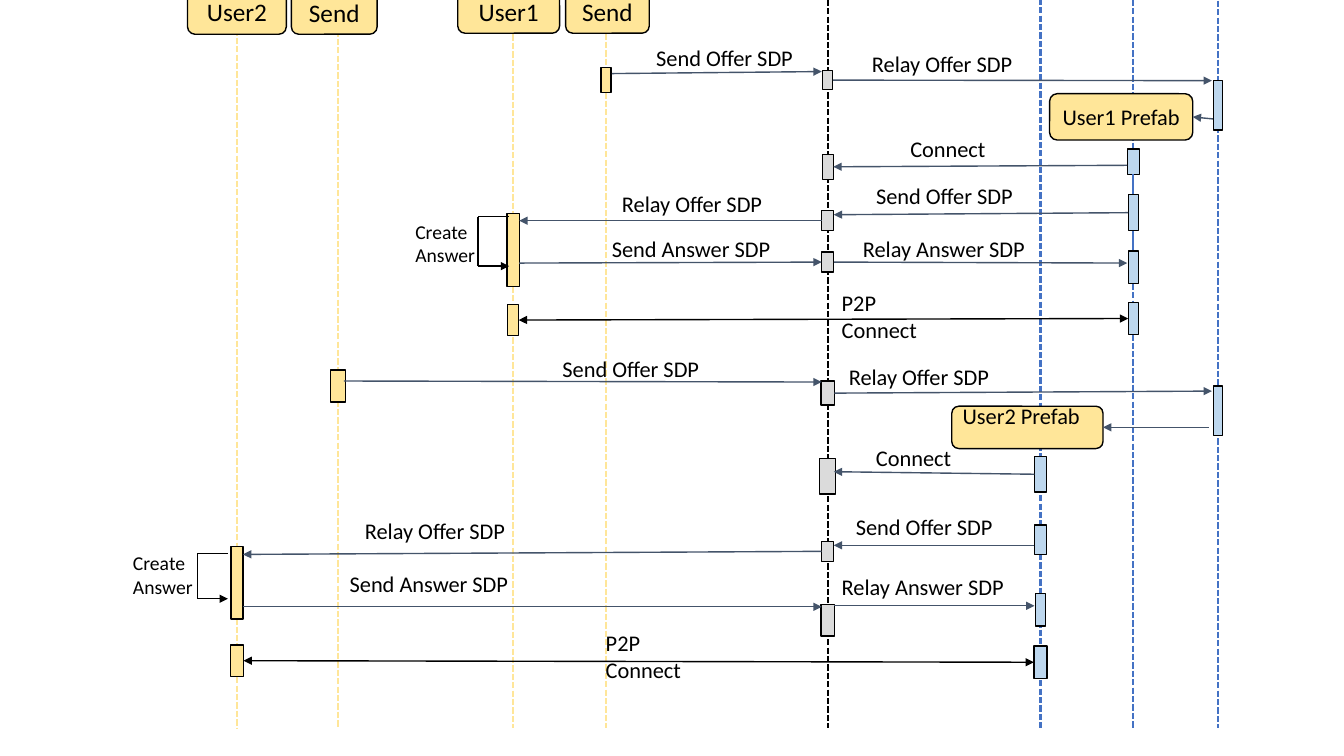
from lxml import etree
from pptx import Presentation, util as u
from pptx.dml.color import RGBColor
from pptx.enum import dml, shapes, text
from pptx.oxml import ns

BLACK, NAVY, BLUE = "000000", "44546A", "4472C4"
YELLOW, GREY, SKY = "FFE699", "DBDBDB", "BDD7EE"
BOTTOM = 7.22
REACH = 0.06  # distance from a lifeline to an arrow's end
SNAP = 0.03  # how near an arrow must end to a side's middle to be joined

# name: (x, top of the lifeline, line colour, bar colour)
COLUMNS = {
    "prefab2": (10.32, -0.43, BLUE, SKY),
    "user1": (5.09, -0.16, YELLOW, YELLOW),
    "host": (12.08, -0.16, BLUE, SKY),
    "relay": (8.21, -0.17, BLACK, GREY),
    "send1": (6.01, -0.17, YELLOW, YELLOW),
    "send2": (3.35, -0.2, YELLOW, YELLOW),
    "user2": (2.35, -0.21, YELLOW, YELLOW),
    "prefab1": (11.24, -0.17, BLUE, SKY),
}
# column: (top, width, height) of each activation bar
BARS = {
    "prefab1": [(1.48, 0.12, 0.25), (1.93, 0.1, 0.36), (2.49, 0.1, 0.32), (3, 0.1, 0.32)],
    "send1": [(0.67, 0.1, 0.25)],
    "send2": [(3.67, 0.15, 0.32)],
    "user1": [(2.12, 0.12, 0.72), (3.02, 0.11, 0.31)],
    "user2": [(5.42, 0.12, 0.72), (6.4, 0.13, 0.31)],
    "relay": [(0.7, 0.1, 0.19), (1.53, 0.11, 0.25), (2.09, 0.12, 0.2), (2.5, 0.12, 0.2),
              (3.78, 0.13, 0.24), (4.55, 0.16, 0.35), (5.37, 0.12, 0.2), (6, 0.13, 0.31)],
    "prefab2": [(4.53, 0.12, 0.35), (5.21, 0.12, 0.29), (5.89, 0.1, 0.32), (6.41, 0.13, 0.32)],
    "host": [(0.8, 0.09, 0.49), (3.83, 0.09, 0.49)],
}
HEADERS = [
    ("User1", 4.54, -0.1, 1.01, 0.43),
    ("Send", 5.61, -0.1, 0.83, 0.43),
    ("User2", 1.86, -0.11, 0.98, 0.45),
    ("Send", 2.89, -0.09, 0.85, 0.43),
]
LABEL_WIDTHS = {
    "Send Offer SDP": 1.58, "Relay Offer SDP": 1.62, "Connect": 0.96,
    "Send Answer SDP": 1.8, "Relay Answer SDP": 1.83, "P2P Connect": 1.33,
}
# label, its left and top, sender, receiver, heights at both ends
MESSAGES = [
    ("Send Offer SDP", 6.41, 0.39, "send1", "relay", 0.73, 0.71),
    ("Relay Offer SDP", 8.55, 0.45, "relay", "host", 0.8, 0.8),
    ("Connect", 8.93, 1.29, "prefab1", "relay", 1.64, 1.64),
    ("Send Offer SDP", 8.59, 1.76, "prefab1", "relay", 2.13, 2.13),
    ("Relay Offer SDP", 6.07, 1.84, "relay", "user1", 2.19, 2.19),
    ("Send Answer SDP", 5.97, 2.28, "user1", "relay", 2.61, 2.62),
    ("Relay Answer SDP", 8.46, 2.28, "relay", "prefab1", 2.61, 2.61),
    ("P2P Connect", 8.25, 2.82, "prefab1", "user1", 3.16, 3.17),
    ("Send Offer SDP", 5.48, 3.47, "send2", "relay", 3.78, 3.79),
    ("Relay Offer SDP", 8.32, 3.55, "relay", "host", 3.88, 3.88),
    ("Connect", 8.59, 4.36, "prefab2", "relay", 4.68, 4.68),
    ("Send Offer SDP", 8.39, 5.04, "prefab2", "relay", 5.41, 5.41),
    ("Relay Offer SDP", 3.52, 5.08, "relay", "user2", 5.47, 5.5),
    ("Send Answer SDP", 3.37, 5.61, "user2", "relay", 6.02, 6.02),
    ("Relay Answer SDP", 8.25, 5.64, "relay", "prefab2", 6.01, 6.01),
    ("P2P Connect", 5.91, 6.19, "prefab2", "user2", 6.56, 6.56),
]


def colour(value):
    return RGBColor.from_string(value)


def write(box, words, size=16, align=text.PP_ALIGN.LEFT):
    frame = box.text_frame
    frame.text = words
    frame.word_wrap = False
    for para in frame.paragraphs:
        para.alignment = align
        para.font.size = u.Pt(size)
        para.font.name = "Calibri"
        para.font.color.rgb = colour(BLACK)


def add_label(page, words, left, top, width, height=0.37, size=16):
    box = page.shapes.add_textbox(*map(u.Inches, (left, top, width, height)))
    write(box, words, size)


def add_block(page, left, top, width, height, fill, kind=shapes.MSO_SHAPE.RECTANGLE):
    block = page.shapes.add_shape(kind, *map(u.Inches, (left, top, width, height)))
    block.shadow.inherit = False
    block.fill.solid()
    block.fill.fore_color.rgb = colour(fill)
    block.line.color.rgb = colour(BLACK)
    block.line.width = u.Pt(1)
    return block


def add_name_box(page, words, left, top, width, height, size=18):
    box = add_block(page, left, top, width, height, YELLOW, shapes.MSO_SHAPE.ROUNDED_RECTANGLE)
    write(box, words, size, text.PP_ALIGN.CENTER)
    box.text_frame.vertical_anchor = text.MSO_ANCHOR.MIDDLE
    return box


def add_bar(page, column, top, width, height):
    x, _, _, fill = COLUMNS[column]
    return add_block(page, x - width / 2, top, width, height, fill)


def add_line(container, start, end, ink, width=1, dashed=False, heads=()):
    """Draw a straight line; heads may hold "headEnd" and "tailEnd"."""
    line = container.shapes.add_connector(
        shapes.MSO_CONNECTOR.STRAIGHT, *map(u.Inches, (*start, *end)))
    line.line.color.rgb = colour(ink)
    line.line.width = u.Pt(width)
    if dashed:
        line.line.dash_style = dml.MSO_LINE.SQUARE_DOT
    stroke = line.line._get_or_add_ln()
    for head in heads:
        etree.SubElement(stroke, ns.qn("a:" + head), type="triangle")
    etree.SubElement(line._element.spPr, ns.qn("a:effectLst"))
    return line


def add_lifeline(page, x, top, bottom, ink):
    return add_line(page, (x, top), (x, bottom), ink, width=1.5, dashed=True)


def find_side(blocks, point):
    """Return the block and side whose middle lies at the point, if any."""
    for block in blocks:
        middle = (block.top + block.height / 2) / u.Inches(1)
        for side, edge in ((1, block.left), (3, block.left + block.width)):
            if abs(edge / u.Inches(1) - point[0]) < SNAP and abs(middle - point[1]) < SNAP:
                return block, side
    return None


def add_arrow(page, blocks, start, end, ink=NAVY, heads=("tailEnd",)):
    arrow = add_line(page, start, end, ink, heads=heads)
    for point, join in ((start, arrow.begin_connect), (end, arrow.end_connect)):
        found = find_side(blocks, point)
        if found:
            join(*found)


def add_message(page, blocks, words, left, top, sender, receiver, y_start, y_end):
    add_label(page, words, left, top, LABEL_WIDTHS[words])
    x_start, x_end = COLUMNS[sender][0], COLUMNS[receiver][0]
    reach = REACH if x_start < x_end else -REACH
    mutual = words == "P2P Connect"
    add_arrow(page, blocks, (x_start + reach, y_start), (x_end - reach, y_end),
              ink=BLACK if mutual else NAVY,
              heads=("headEnd", "tailEnd") if mutual else ("tailEnd",))


def add_self_call(page, left, right, top, bottom, label_left, label_top):
    add_label(page, "Create\nAnswer", label_left, label_top, 0.79, 0.57, size=14)
    loop = page.shapes.add_group_shape()
    add_line(loop, (left, bottom), (right, bottom), BLACK, heads=("tailEnd",))
    add_line(loop, (left, bottom), (left, top), BLACK)
    add_line(loop, (left, top), (right, top), BLACK)


def main():
    deck = Presentation()
    deck.slide_width, deck.slide_height = u.Inches(13.33), u.Inches(7.5)
    page = deck.slides.add_slide(deck.slide_layouts[6])

    for name, (x, top, ink, _) in COLUMNS.items():
        add_lifeline(page, x, top, 2.75 if name == "prefab1" else BOTTOM, ink)

    first, *later = BARS["prefab1"]
    blocks = [add_bar(page, "prefab1", *first)]
    add_lifeline(page, COLUMNS["prefab1"][0], 1.73, BOTTOM, BLUE).begin_connect(blocks[0], 2)
    for column, bars in {**BARS, "prefab1": later}.items():
        blocks += [add_bar(page, column, *bar) for bar in bars]

    for header in HEADERS:
        add_name_box(page, *header)
    blocks.append(add_name_box(page, "User1 Prefab", 10.41, 0.93, 1.42, 0.46, size=16))
    user2_prefab = add_name_box(page, "User2 Prefab", 9.44, 4.03, 1.5, 0.42, size=16)
    user2_prefab.text_frame.margin_right = u.Inches(0.22)
    user2_prefab.text_frame.margin_bottom = u.Inches(0.24)
    user2_prefab.text_frame.margin_top = 0
    blocks.append(user2_prefab)

    for message in MESSAGES:
        add_message(page, blocks, *message)
    add_arrow(page, blocks, (12.03, 1.18), (11.81, 1.18))
    add_arrow(page, blocks, (11.99, 4.24), (10.94, 4.24))
    add_self_call(page, 4.74, 5.05, 2.15, 2.64, 4.02, 2.13)
    add_self_call(page, 1.96, 2.26, 5.49, 5.94, 1.22, 5.42)
    deck.save("out.pptx")


if __name__ == "__main__":
    main()
